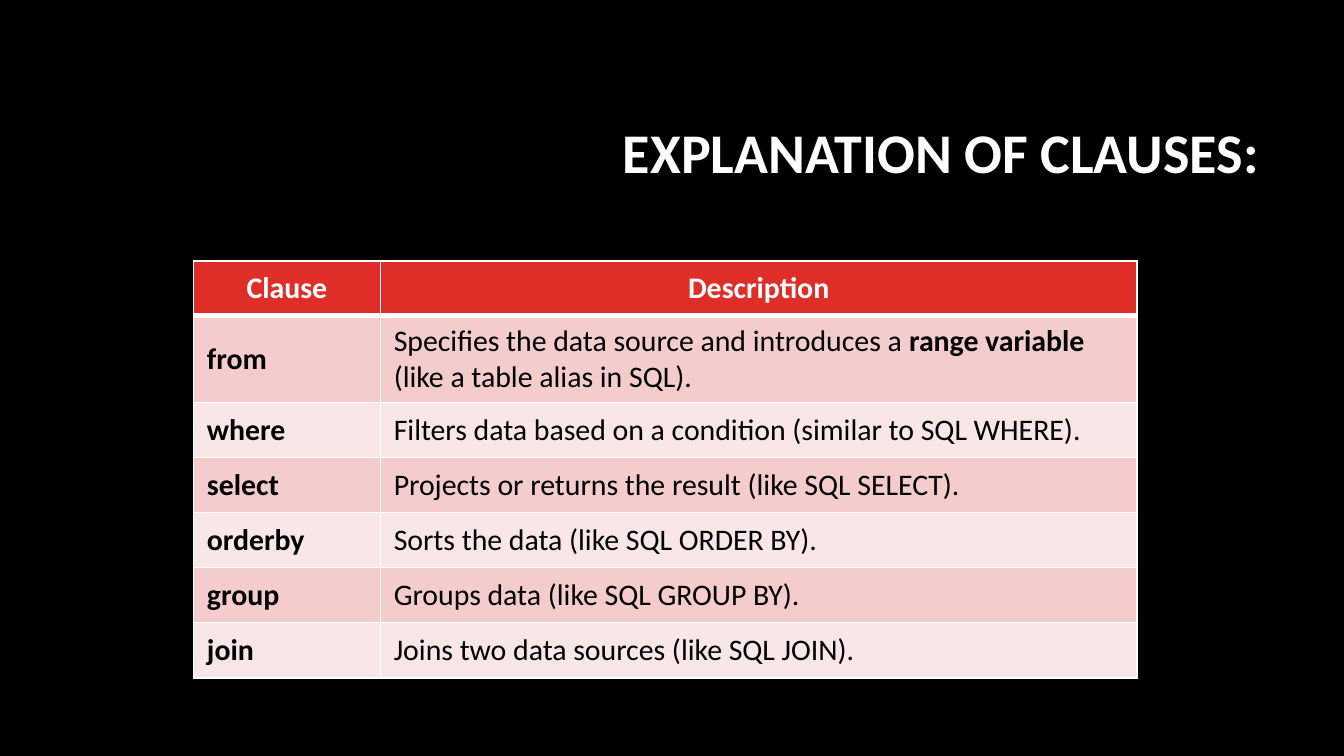
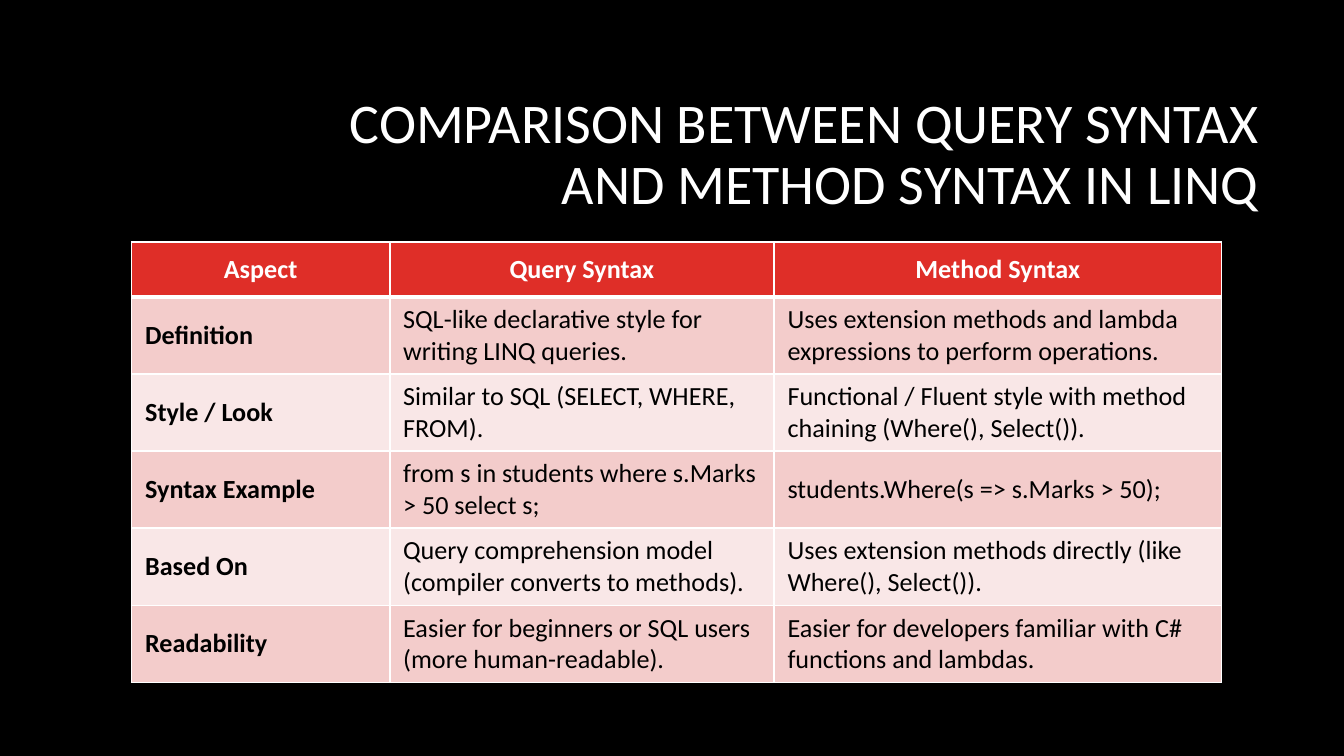
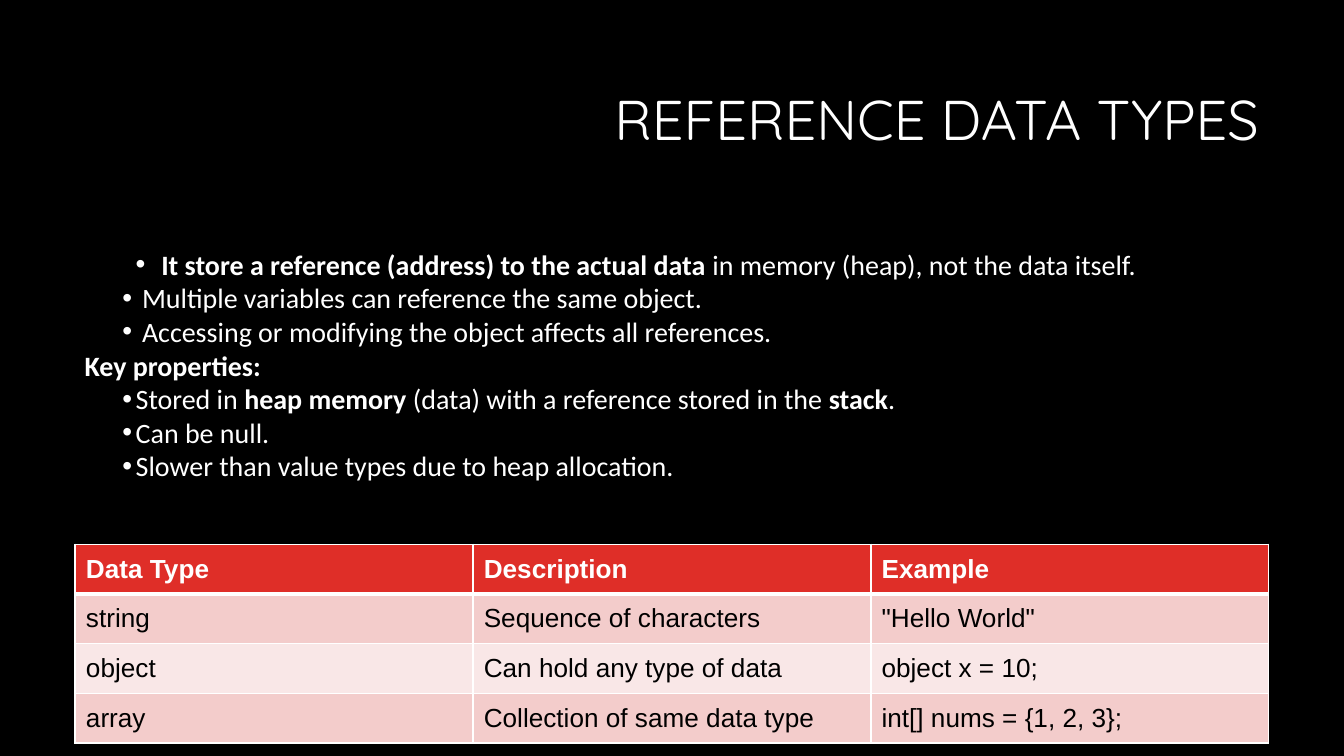
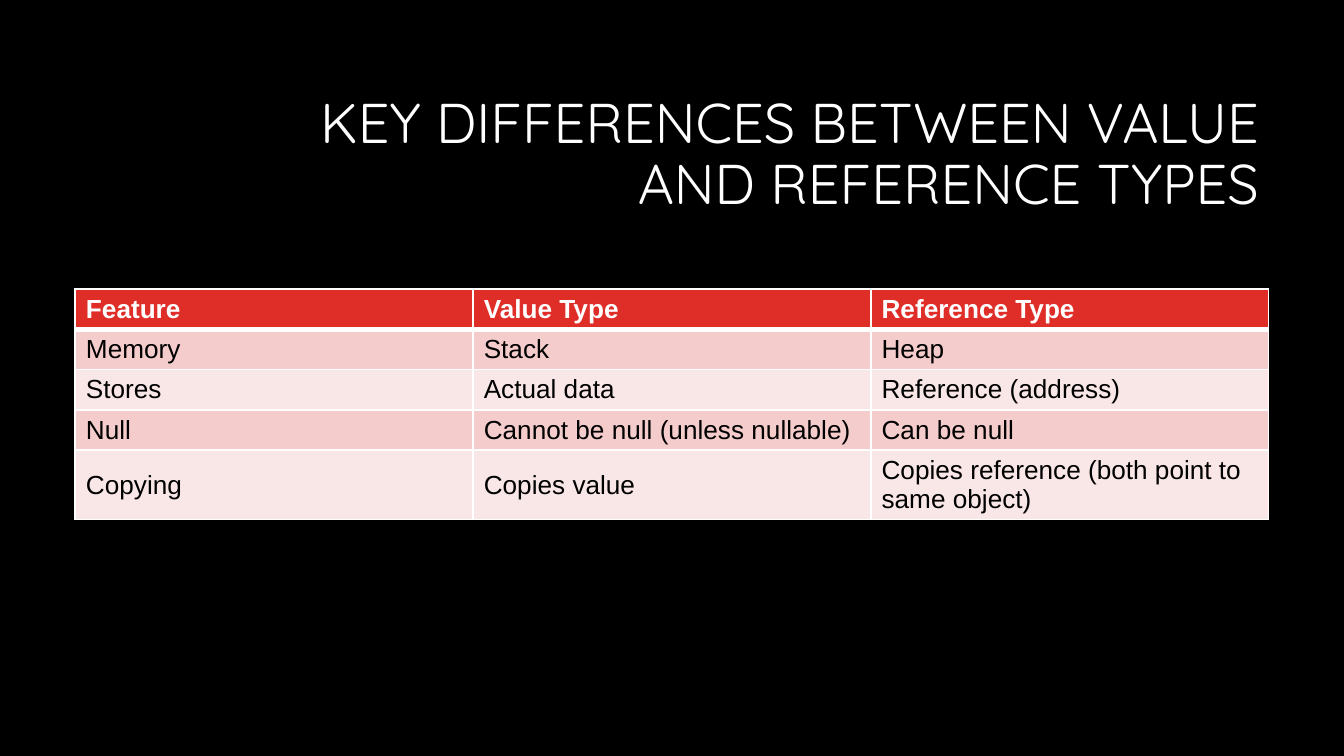
from lxml import etree
from pptx import Presentation
from pptx import util as u
from pptx.dml.color import RGBColor
from pptx.enum import text
from pptx.oxml.ns import qn

BLACK, WHITE, RED = "000000", "FFFFFF", "DF2E28"
BANDS = "F3CCCB", "F9E7E7"


def rgb(value):
    return RGBColor.from_string(value)


def assign(obj, values):
    for name, value in values.items():
        setattr(obj, name, value)


class Deck:
    """Holds the shared style and the slide being built."""

    def __init__(self):
        self.prs = Presentation()
        assign(self.prs, dict(slide_width=u.Inches(10), slide_height=u.Inches(5.625)))
        self.paint(self.prs.slide_master.background, BLACK)

    def paint(self, target, color):
        target.fill.solid()
        target.fill.fore_color.rgb = rgb(color)

    def place(self, sp, box):
        assign(sp, dict(zip(("left", "top", "width", "height"), map(u.Inches, box))))

    def insets(self, target, x, y):
        assign(target, dict(margin_left=u.Inches(x), margin_right=u.Inches(x),
                            margin_top=u.Inches(y), margin_bottom=u.Inches(y)))

    def add_runs(self, p, content, size, font, color, bold=False):
        for i, part in enumerate(content.split("**")):
            if part:
                r = p.add_run()
                r.text = part
                assign(r.font, dict(size=u.Pt(size), name=font, bold=bold or i % 2 == 1))
                r.font.color.rgb = rgb(color)

    def slide(self, title, font, bold=False, left=2.38, bottom=0.04):
        self.s = self.prs.slides.add_slide(self.prs.slide_layouts[5])
        sp = self.s.shapes.title
        self.place(sp, (left, 0.63, 9.44 - left, 1.06))
        tf = sp.text_frame
        self.insets(tf, 0.07, 0.04)
        assign(tf, dict(word_wrap=True, auto_size=text.MSO_AUTO_SIZE.NONE,
                        margin_bottom=u.Inches(bottom),
                        vertical_anchor=text.MSO_ANCHOR.MIDDLE))
        p = tf.paragraphs[0]
        assign(p, dict(alignment=text.PP_ALIGN.RIGHT, line_spacing=0.9))
        self.add_runs(p, title, 30, font, WHITE, bold)

    def bullet(self, p, margin, hanging):
        pPr = p._p.get_or_add_pPr()
        pPr.set("marL", str(u.Inches(margin)))
        pPr.set("indent", str(-u.Inches(hanging)))
        clr = etree.SubElement(pPr, qn("a:buClr"))
        etree.SubElement(clr, qn("a:srgbClr"), val=WHITE)
        etree.SubElement(pPr, qn("a:buFont"), typeface="Arial")
        etree.SubElement(pPr, qn("a:buChar"), char="•")

    def body(self, box, lines):
        tf = self.s.shapes.add_textbox(*map(u.Inches, box)).text_frame
        self.insets(tf, 0.07, 0.04)
        tf.word_wrap = True
        for i, (content, indent) in enumerate(lines):
            p = tf.add_paragraph() if i else tf.paragraphs[0]
            if indent:
                p.level = 1
                self.bullet(p, *indent)
            self.add_runs(p, content, 15, "Calibri", WHITE)

    def borders(self, cell, top, bottom):
        tcPr = cell._tc.get_or_add_tcPr()
        widths = dict(lnL=1, lnR=1, lnT=top, lnB=bottom)
        for i, (side, width) in enumerate(widths.items()):
            ln = etree.Element(qn("a:" + side), w=str(u.Pt(width)))
            fill = etree.SubElement(ln, qn("a:solidFill"))
            etree.SubElement(fill, qn("a:srgbClr"), val=WHITE)
            tcPr.insert(i, ln)

    def table(self, left, top, widths, row_height, rows, size=14, font="Arial",
              inset=(0.08, 0.04), labelled=False):
        frame = self.s.shapes.add_table(
            len(rows), len(widths), u.Inches(left), u.Inches(top),
            u.Inches(sum(widths)), u.Inches(row_height * len(rows)))
        tbl = frame.table
        for col, width in zip(tbl.columns, widths):
            col.width = u.Inches(width)
        for y, row in enumerate(rows):
            tbl.rows[y].height = u.Inches(row_height)
            for x, content in enumerate(row):
                cell, head = tbl.cell(y, x), y == 0
                self.paint(cell, RED if head else BANDS[(y - 1) % 2])
                self.borders(cell, 3 if y == 1 else 1, 3 if head else 1)
                self.insets(cell, *inset)
                cell.vertical_anchor = text.MSO_ANCHOR.MIDDLE
                p = cell.text_frame.paragraphs[0]
                if head and labelled:
                    p.alignment = text.PP_ALIGN.CENTER
                self.add_runs(p, content, size, font, WHITE if head else BLACK,
                              head or (labelled and x == 0))


def main():
    d = Deck()
    labelled = dict(font="Calibri", inset=(0.1, 0.05), labelled=True)
    thirds = [2.96] * 3

    d.slide("EXPLANATION OF CLAUSES:", "Calibri", bold=True)
    d.table(1.44, 1.94, [1.39, 5.63], 0.41, [
        ("Clause", "Description"),
        ("from", "Specifies the data source and introduces a **range variable** "
                 "(like a table alias in SQL)."),
        ("where", "Filters data based on a condition (similar to SQL WHERE)."),
        ("select", "Projects or returns the result (like SQL SELECT)."),
        ("orderby", "Sorts the data (like SQL ORDER BY)."),
        ("group", "Groups data (like SQL GROUP BY)."),
        ("join", "Joins two data sources (like SQL JOIN)."),
    ], size=16, **labelled)

    d.slide("COMPARISON BETWEEN QUERY SYNTAX AND METHOD SYNTAX IN LINQ", "Calibri")
    d.table(0.98, 1.8, [1.92, 2.86, 3.33], 0.41, [
        ("Aspect", "Query Syntax", "Method Syntax"),
        ("Definition", "SQL-like declarative style for writing LINQ queries.",
         "Uses extension methods and lambda expressions to perform operations."),
        ("Style / Look", "Similar to SQL (SELECT, WHERE, FROM).",
         "Functional / Fluent style with method chaining (Where(), Select())."),
        ("Syntax Example", "from s in students where s.Marks > 50 select s;",
         "students.Where(s => s.Marks > 50);"),
        ("Based On", "Query comprehension model (compiler converts to methods).",
         "Uses extension methods directly (like Where(), Select())."),
        ("Readability", "Easier for beginners or SQL users (more human-readable).",
         "Easier for developers familiar with C# functions and lambdas."),
    ], **labelled)

    d.slide("REFERENCE DATA TYPES", "Quicksand", bottom=0.54)
    first, item = (0.57, 0.19), (0.38, 0.1)
    d.body((0.56, 1.8, 8.88, 2.1), [
        ("**It store a reference (address) to the actual data** in memory (heap), "
         "not the data itself.", first),
        (" Multiple variables can reference the same object.", item),
        (" Accessing or modifying the object affects all references.", item),
        ("**Key properties:**", None),
        ("Stored in **heap memory** (data) with a reference stored in the **stack**.", item),
        ("Can be null.", item),
        ("Slower than value types due to heap allocation.", item),
    ])
    d.table(0.56, 4.05, thirds, 0.37, [
        ("Data Type", "Description", "Example"),
        ("string", "Sequence of characters", '"Hello World"'),
        ("object", "Can hold any type of data", "object x = 10;"),
        ("array", "Collection of same data type", "int[] nums = {1, 2, 3};"),
    ])

    d.slide("KEY DIFFERENCES BETWEEN VALUE AND REFERENCE TYPES", "Quicksand", left=2.21)
    d.table(0.56, 2.15, thirds, 0.3, [
        ("Feature", "Value Type", "Reference Type"),
        ("Memory", "Stack", "Heap"),
        ("Stores", "Actual data", "Reference (address)"),
        ("Null", "Cannot be null (unless nullable)", "Can be null"),
        ("Copying", "Copies value", "Copies reference (both point to same object)"),
    ])

    d.prs.save("out.pptx")


if __name__ == "__main__":
    main()
